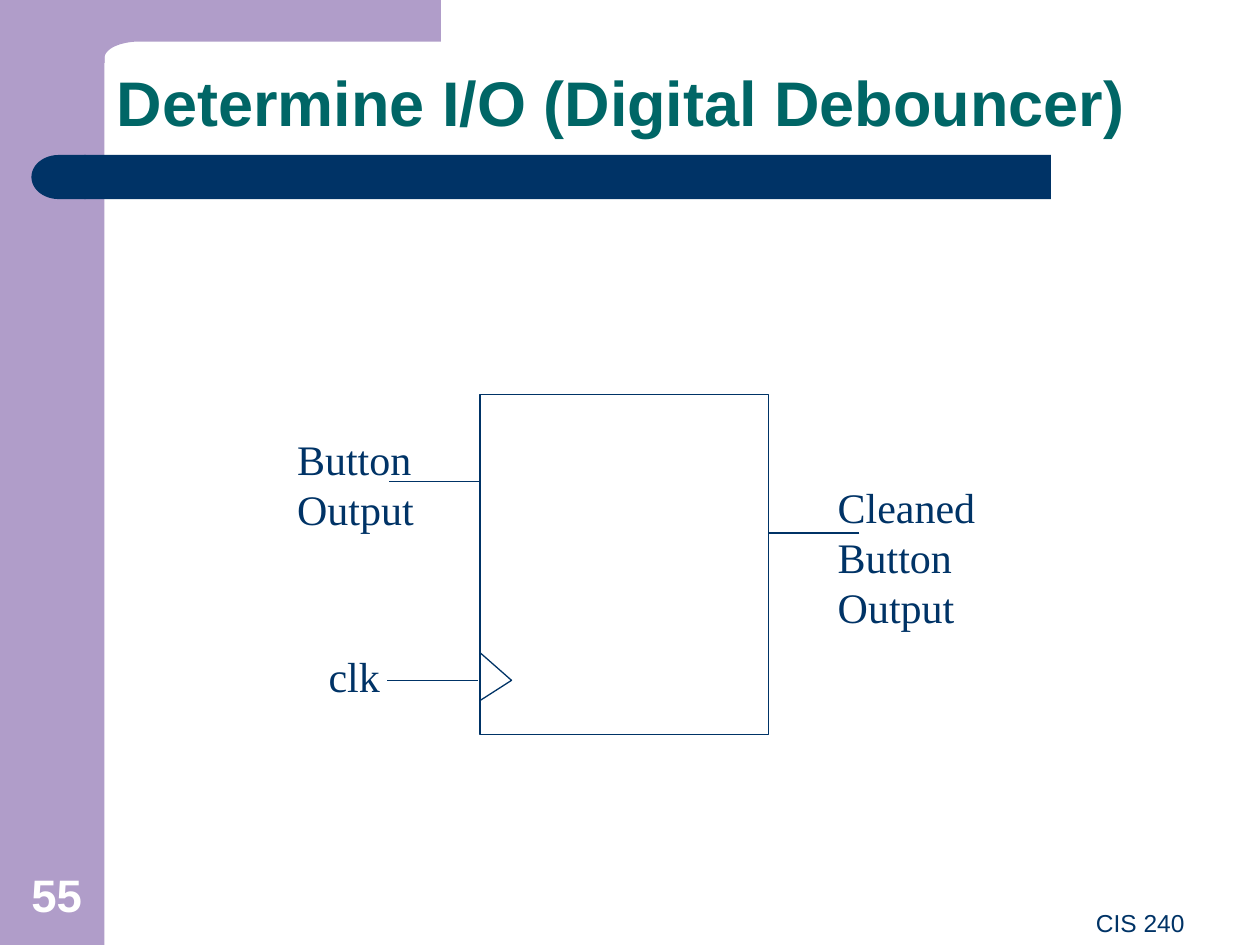
from math import cos, sin, pi
from lxml import etree
from pptx import Presentation
from pptx.dml.color import RGBColor
from pptx.enum.shapes import MSO_CONNECTOR, MSO_SHAPE as SHAPE
from pptx.enum.text import MSO_ANCHOR as ANCHOR, PP_ALIGN as ALIGN
from pptx.oxml.ns import qn
from pptx.util import Inches, Pt

COLORS = {"lilac": "B09DC9", "navy": "003366", "teal": "006666", "white": "FFFFFF"}
LABEL = {"name": "Times New Roman", "size": 24, "color": "navy"}
TITLE = {"name": "Arial", "size": 36, "color": "teal", "bold": True}
NUMBER = {"name": "Arial", "size": 26, "color": "white", "bold": True}
FOOTER = {"name": "Arial", "size": 14, "color": "navy"}


def rgb(name):
    return RGBColor.from_string(COLORS[name])


def paint(sp, fill=None, line=None):
    sp.shadow.inherit = False
    if fill:
        sp.fill.solid()
        sp.fill.fore_color.rgb = rgb(fill)
    else:
        sp.fill.background()
    if line:
        sp.line.color.rgb = rgb(line)
        sp.line.width = Pt(0.75)
    else:
        sp.line.fill.background()
    return sp


def add_block(s, kind, box, **look):
    return paint(s.shapes.add_shape(kind, *map(Inches, box)), **look)


def add_outline(s, points, close, **look):
    start, *rest = [(Inches(x), Inches(y)) for x, y in points]
    fb = s.shapes.build_freeform(*start)
    fb.add_line_segments(rest, close=close)
    return paint(fb.convert_to_shape(), **look)


def add_wire(s, x1, x2, y):
    ln = s.shapes.add_connector(MSO_CONNECTOR.STRAIGHT, *map(Inches, (x1, y, x2, y)))
    ln.line.color.rgb = rgb("navy")
    ln.line.width = Pt(0.75)
    etree.SubElement(ln._element.spPr, qn("a:effectLst"))


def add_text(s, box, lines, style, align=ALIGN.LEFT, anchor=ANCHOR.TOP, spacing=None):
    tf = s.shapes.add_textbox(*map(Inches, box)).text_frame
    tf.word_wrap = True
    tf.vertical_anchor = anchor
    for i, text in enumerate(lines):
        p = tf.paragraphs[0] if i == 0 else tf.add_paragraph()
        p.alignment = align
        p.line_spacing = spacing
        r = p.add_run()
        r.text = text
        for key, value in style.items():
            if key == "color":
                r.font.color.rgb = rgb(value)
            else:
                setattr(r.font, key, Pt(value) if key == "size" else value)


def add_frame(s, width, height):
    # Side band, and top band with a rounded inner corner
    band, edge, right = 0.83, 0.33, 3.5
    add_block(s, SHAPE.RECTANGLE, (0, 0, band, height), fill="lilac")
    rx, ry, steps = 0.28, 0.13, 16
    angles = [pi / 2 * i / steps for i in range(steps + 1)]
    curve = [(band + rx * (1 - sin(a)), edge + ry * (1 - cos(a))) for a in reversed(angles)]
    curve = [(band + rx * (1 - cos(a)), edge + ry * (1 - sin(a))) for a in reversed(angles)]
    points = [(right, 0), (right, edge), *curve, (band, 0.5), (0.5, 0.5), (0.5, 0)]
    add_outline(s, points, True, fill="lilac")

    # Slide number and footer
    add_text(s, (0, height - 0.67, 0.9, 0.53), ["55"], NUMBER, ALIGN.CENTER, ANCHOR.BOTTOM)
    add_text(s, (width - 6.59, height - 0.34, 6.09, 0.34), ["CIS 240"], FOOTER, ALIGN.RIGHT)


def add_title(s, x, y, w, h):
    # Rule with a round left end below the title
    rule = y + h + 0.07
    add_block(s, SHAPE.RECTANGLE, (0.67, rule, 7.67, 0.35), fill="navy")
    cap = add_block(s, SHAPE.FLOWCHART_DELAY, (0.25, rule, 0.43, 0.35), fill="navy")
    cap._element.spPr.xfrm.set("flipH", "1")
    add_text(s, (x, y, w, h), ["Determine I/O (Digital Debouncer)"], TITLE,
             anchor=ANCHOR.BOTTOM, spacing=0.9)


def add_debouncer(s, x, y, w, h):
    # Block and clock mark
    add_block(s, SHAPE.RECTANGLE, (x, y, w, h), line="navy")
    clock = y + 2.27
    mark = [(x, clock - 0.22), (x + 0.25, clock), (x, clock + 0.16)]
    add_outline(s, mark, False, line="navy")

    # Wires
    wire = 0.72
    add_wire(s, x, x - wire, y + 0.69)
    add_wire(s, x - 0.02, x - 0.02 - wire, clock)
    add_wire(s, x + w + wire, x + w, y + 1.1)

    # Signal names
    add_text(s, (x - 1.55, y + 0.26, 3.07, 0.9), ["Button", "Output"], LABEL)
    add_text(s, (x - 1.3, y + 1.98, 0.94, 0.5), ["clk"], LABEL)
    add_text(s, (x + w + 0.45, y + 0.64, 2.42, 1.3), ["Cleaned", "Button", "Output"], LABEL)


def main():
    prs = Presentation()
    prs.slide_width, prs.slide_height = Inches(10), Inches(7.5)
    s = prs.slides.add_slide(prs.slide_layouts[6])
    add_frame(s, 10, 7.5)
    add_title(s, 0.83, 0.33, 8.67, 0.83)
    add_debouncer(s, 3.81, 3.13, 2.29, 2.7)
    prs.save("out.pptx")


if __name__ == "__main__":
    main()
